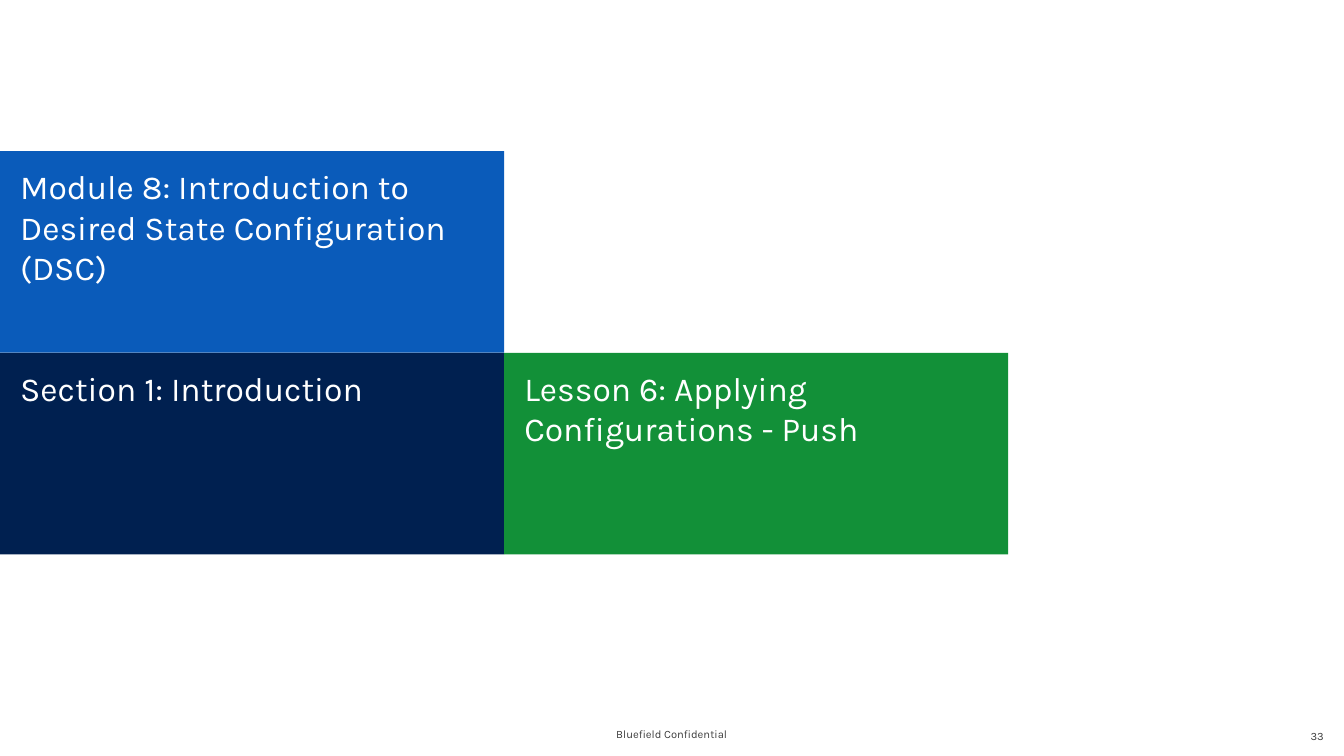
from pptx import Presentation
from pptx.dml.color import RGBColor
from pptx.enum.shapes import MSO_SHAPE
from pptx.enum.text import MSO_ANCHOR, PP_ALIGN
from pptx.util import Inches, Pt

FONT = "Karla"
TILE_WIDTH, TILE_HEIGHT = 5, 2
GRID_TOP = 1.5
TILES = [
    (0, 0, "0A5BBA", "Module 8: Introduction to Desired State Configuration (DSC)"),
    (0, 1, "002050", "Section 1: Introduction"),
    (1, 1, "129038", "Lesson 6: Applying Configurations - Push"),
]


def color(hex_value):
    """Return the colour for a hex string."""
    return RGBColor.from_string(hex_value)


def write_text(shape, text, size, hex_value, align, anchor, insets):
    """Fill a shape with one formatted paragraph."""
    frame = shape.text_frame
    frame.text = text
    frame.word_wrap = True
    frame.vertical_anchor = anchor
    frame.margin_left, frame.margin_top, frame.margin_right, frame.margin_bottom = map(Inches, insets)
    paragraph = frame.paragraphs[0]
    paragraph.alignment = align
    font = paragraph.runs[0].font
    font.name = FONT
    font.size = Pt(size)
    font.color.rgb = color(hex_value)


def add_tiles(slide, left, top, width, height):
    """Place the coloured tiles on a grid of cells of the given size."""
    for column, row, fill, text in TILES:
        tile = slide.shapes.add_shape(
            MSO_SHAPE.RECTANGLE,
            Inches(left + column * width), Inches(top + row * height),
            Inches(width), Inches(height))
        tile.shadow.inherit = False
        tile.fill.solid()
        tile.fill.fore_color.rgb = color(fill)
        tile.line.fill.background()
        write_text(tile, text, 24, "FFFFFF", PP_ALIGN.LEFT, MSO_ANCHOR.TOP,
                   (0.2, 0.15, 0.1, 0.05))


def add_footer_text(slide, left, top, width, height, text, align):
    """Place one small footer text in its box."""
    box = slide.shapes.add_textbox(Inches(left), Inches(top), Inches(width), Inches(height))
    write_text(box, text, 8, "3F3F3F", align, MSO_ANCHOR.MIDDLE, (0.2, 0.05, 0.2, 0.05))


def main():
    """Build the lesson title slide and save it."""
    presentation = Presentation()
    presentation.slide_width = Inches(13.33)
    presentation.slide_height = Inches(7.5)
    slide = presentation.slides.add_slide(presentation.slide_layouts[6])
    add_footer_text(slide, 5.11, 7.08, 3.11, 0.4, "Bluefield Confidential", PP_ALIGN.CENTER)
    add_tiles(slide, 0, GRID_TOP, TILE_WIDTH, TILE_HEIGHT)
    add_footer_text(slide, 10.22, 7.1, 3.11, 0.4, "33", PP_ALIGN.RIGHT)
    presentation.save("out.pptx")


if __name__ == "__main__":
    main()
